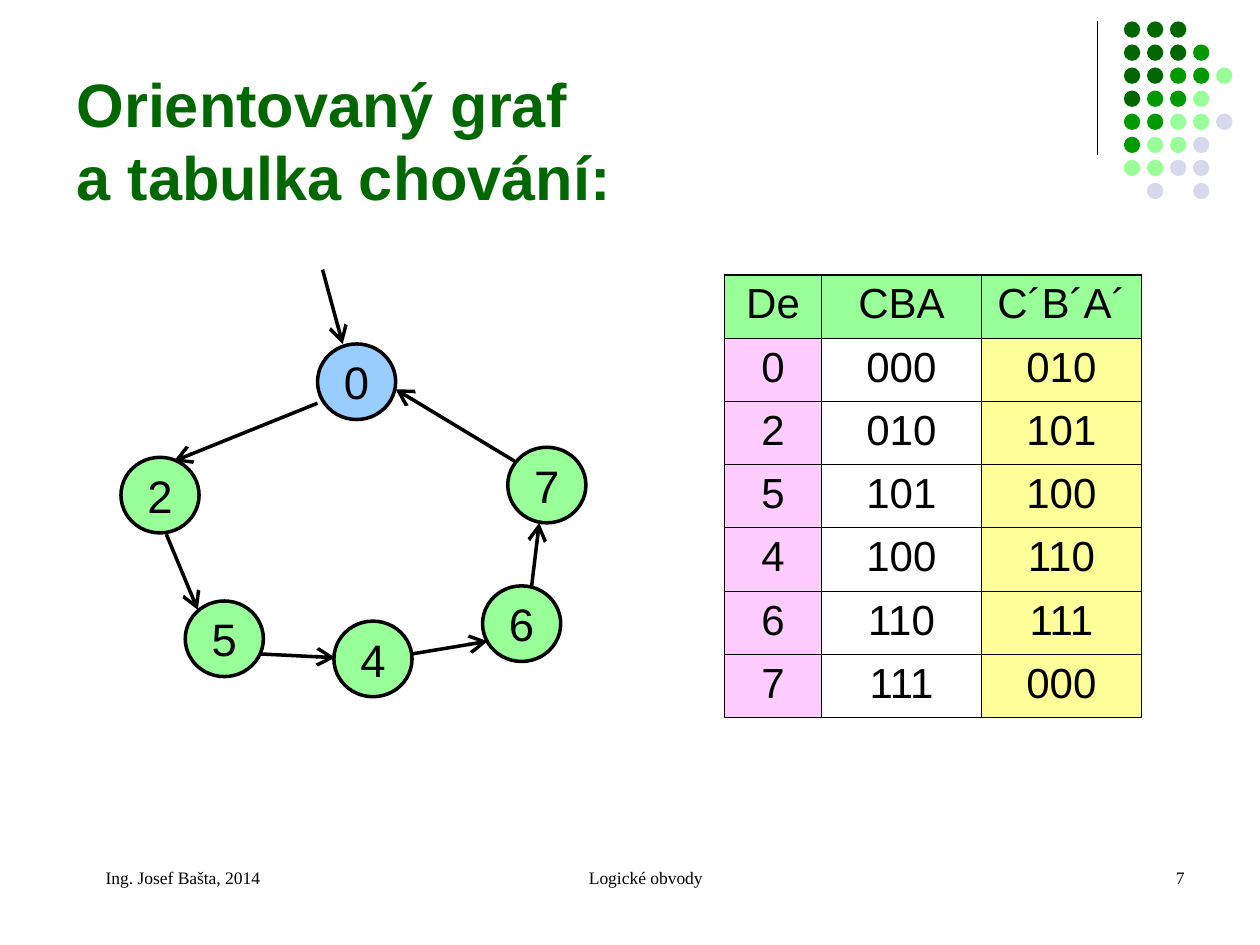
import pptx
import pptx.util
import pptx.dml.color
import pptx.enum.shapes
import pptx.enum.text
import pptx.oxml
import pptx.oxml.ns

# The slide is a grid of 100 columns by 75 rows
COLS, ROWS, CELL = 100, 75, 0.1
BLACK, DARK, MID, LIGHT = "000000", "006600", "009900", "99FF99"
GREY, BLUE, PINK, YELLOW = "D8D8EC", "99CCFF", "FFCCFF", "FFFF99"
OVAL = pptx.enum.shapes.MSO_SHAPE.OVAL
ALIGN = pptx.enum.text.PP_ALIGN
ANCHOR = pptx.enum.text.MSO_ANCHOR

# One letter per dot of the corner pattern
TINTS = {"D": DARK, "M": MID, "L": LIGHT, "G": GREY}
DOTS = ["DDD", "DDDM", "DDMML", "DMML", "MMLLG", "MLLG", "LLGG", " G G"]

# Graph nodes: label, column, row, colour
NODES = [("0", 25.2, 27.3, BLUE), ("7", 40.3, 35.5, LIGHT),
         ("6", 38.3, 46.5, LIGHT), ("4", 26.5, 49.3, LIGHT),
         ("5", 14.7, 47.7, LIGHT), ("2", 9.6, 36.3, LIGHT)]
# Graph arrows, from edge to edge of the nodes
LINKS = [(25.6, 21.4, 27.2, 27.3), (25.2, 32, 13.8, 36.6),
         (13.2, 42.4, 15.7, 48.4), (20.6, 51.9, 26.6, 52.2),
         (32.7, 51.9, 38.7, 50.9), (42.2, 46.5, 42.8, 41.5),
         (41, 36.7, 31.4, 30.9)]

HEAD = ["De", "CBA", "C´B´A´"]
STATES = ["000", "010", "101", "100", "110", "111"]


def grid(*vals):
    return [pptx.util.Inches(v * CELL) for v in vals]


def rgb(code):
    return pptx.dml.color.RGBColor.from_string(code)


def style(frame, size, face="Arial", tint=BLACK, bold=False,
          align=ALIGN.LEFT):
    for para in frame.paragraphs:
        para.alignment = align
        for run in para.runs:
            font = run.font
            font.size, font.name = pptx.util.Pt(size), face
            font.bold, font.color.rgb = bold, rgb(tint)


def add_text(slide, text, box, size, anchor=ANCHOR.TOP, **look):
    frame = slide.shapes.add_textbox(*grid(*box)).text_frame
    frame.word_wrap = True
    frame.vertical_anchor = anchor
    frame.text = text
    style(frame, size, **look)
    return frame


def add_oval(slide, box, fill):
    oval = slide.shapes.add_shape(OVAL, *grid(*box))
    oval.shadow.inherit = False
    oval.fill.solid()
    oval.fill.fore_color.rgb = rgb(fill)
    oval.line.fill.background()
    return oval


def add_node(slide, label, col, row, fill):
    node = add_oval(slide, (col, row, 6.2, 6), fill)
    node.line.color.rgb = rgb(BLACK)
    node.line.width = pptx.util.Pt(2)
    frame = node.text_frame
    frame.margin_left = frame.margin_right = 0
    frame.margin_top = frame.margin_bottom = 0
    frame.word_wrap = False
    frame.vertical_anchor = ANCHOR.MIDDLE
    frame.text = label
    style(frame, 26, align=ALIGN.CENTER)


def add_line(slide, ends, width, arrow=False):
    kind = pptx.enum.shapes.MSO_CONNECTOR.STRAIGHT
    line = slide.shapes.add_connector(kind, *grid(*ends))
    line.line.color.rgb = rgb(BLACK)
    line.line.width = pptx.util.Pt(width)
    if arrow:
        tip = pptx.oxml.parse_xml(
            f'<a:tailEnd {pptx.oxml.ns.nsdecls("a")} type="arrow" '
            'w="lg" len="lg"/>')
        line.line._get_or_add_ln().append(tip)
    line._element.spPr.append(pptx.oxml.parse_xml(
        f'<a:effectLst {pptx.oxml.ns.nsdecls("a")}/>'))


def add_edge(cell, side, width):
    cell._tc.get_or_add_tcPr().append(pptx.oxml.parse_xml(
        f'<a:ln{side} {pptx.oxml.ns.nsdecls("a")} '
        f'w="{pptx.util.Pt(width)}"><a:solidFill>'
        f'<a:srgbClr val="{BLACK}"/></a:solidFill></a:ln{side}>'))


def add_table(slide):
    rows = [HEAD]
    for now, then in zip(STATES, STATES[1:] + STATES[:1]):
        rows.append([str(int(now, 2)), now, then])
    count, wide = len(rows), [7.7, 12.7, 12.7]
    frame = slide.shapes.add_table(
        count, len(wide), *grid(57.5, 21.8, sum(wide), 5.02 * count))
    table = frame.table
    table.first_row = table.horz_banding = False
    for col, width in zip(table.columns, grid(*wide)):
        col.width = width
    for r, row in enumerate(rows):
        for c, text in enumerate(row):
            cell = table.cell(r, c)
            cell.text_frame.text = text
            style(cell.text_frame, 24, align=ALIGN.CENTER)
            # Outer edges are heavier than inner ones
            outer = {"L": c == 0, "R": c == len(wide) - 1,
                     "T": r == 0, "B": r == count - 1}
            for side, heavy in outer.items():
                add_edge(cell, side, 1.08 if heavy else 0.45)
            fill = LIGHT if r == 0 else (PINK, None, YELLOW)[c]
            if fill:
                cell.fill.solid()
                cell.fill.fore_color.rgb = rgb(fill)
            else:
                cell.fill.background()


def add_corner(slide):
    add_line(slide, (87.1, 1.7, 87.1, 12.3), 0.75)
    step = 1.83
    for r, row in enumerate(DOTS):
        for c, key in enumerate(row):
            if key in TINTS:
                box = (89.2 + c * step, 1.7 + r * step, 1.3, 1.3)
                add_oval(slide, box, TINTS[key])


def add_graph(slide):
    # Arrows come last so that every head stays in view
    for node in NODES:
        add_node(slide, *node)
    for ends in LINKS:
        add_line(slide, ends, 2, arrow=True)


def add_foot(slide):
    parts = [("Logické obvody", 34.2, 31.7, ALIGN.CENTER),
             ("7", 71.7, 23.3, ALIGN.RIGHT),
             ("Ing. Josef Bašta, 2014", 5, 23.3, ALIGN.LEFT)]
    for text, left, width, align in parts:
        frame = add_text(slide, text, (left, 68.3, width, 5), 10,
                         face="Times New Roman", align=align)
        props = frame.paragraphs[0]._p.get_or_add_pPr()
        props.set("marL", str(pptx.util.Inches(0.24)))
        props.set("indent", "0")


def main():
    deck = pptx.Presentation()
    deck.slide_width, deck.slide_height = grid(COLS, ROWS)
    slide = deck.slides.add_slide(deck.slide_layouts[6])
    add_corner(slide)
    add_text(slide, "Orientovaný graf\va tabulka chování:",
             (5.1, 3.6, 52.4, 13.8), 35, ANCHOR.BOTTOM,
             tint=DARK, bold=True)
    add_table(slide)
    add_graph(slide)
    add_foot(slide)
    deck.save("out.pptx")


if __name__ == "__main__":
    main()
